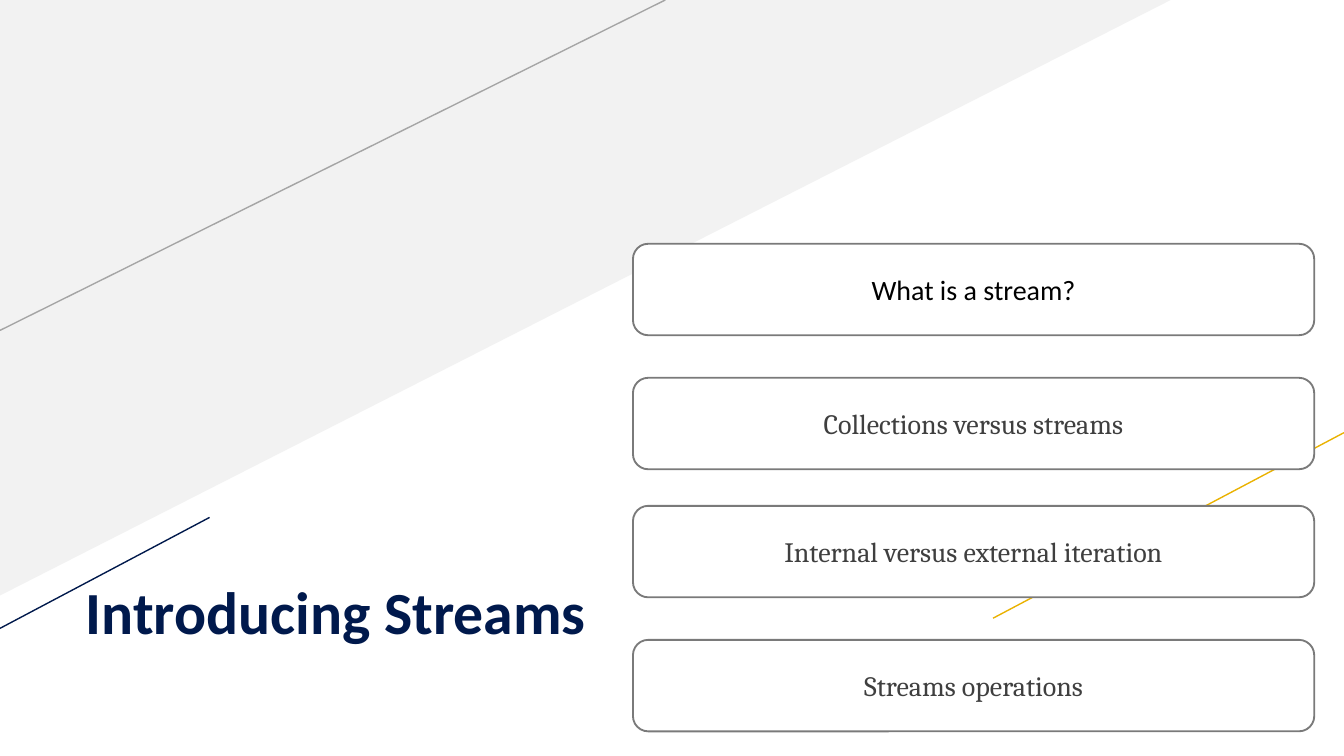
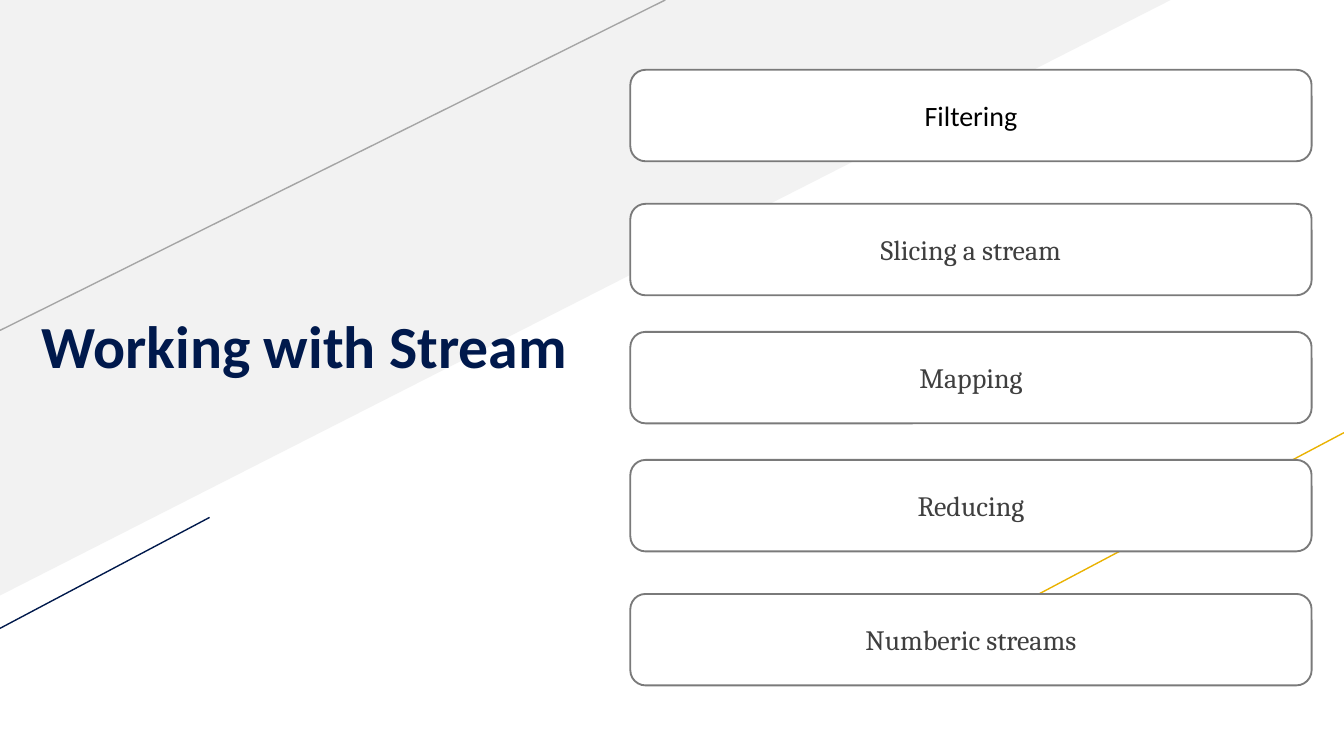
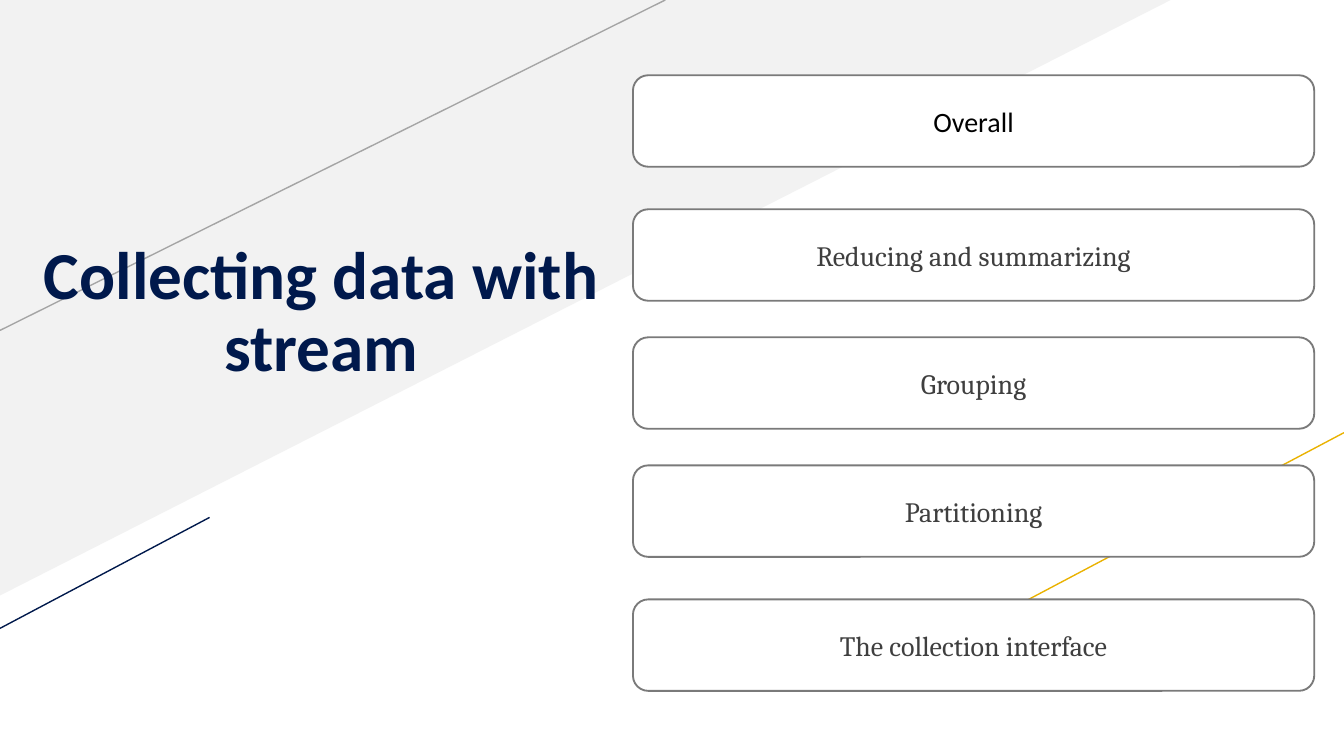
from lxml.etree import SubElement
from pptx import Presentation
from pptx.dml.color import RGBColor
from pptx.enum.shapes import MSO_CONNECTOR, MSO_SHAPE
from pptx.enum.text import MSO_ANCHOR, PP_ALIGN
from pptx.oxml.ns import qn
from pptx.util import Pt

HUES = {
    "white": "FFFFFF", "band": "F2F2F2", "rule": "A5A5A5", "gold": "EAB200",
    "navy": "00194C", "edge": "7A7A7A", "text": "3F3F3F", "black": "000000",
}

# Shared formats
FRAME = {"word_wrap": True, "margin_left": Pt(5), "margin_right": Pt(5),
         "margin_top": Pt(3), "margin_bottom": Pt(3)}
HEAD = {"name": "Calibri", "size": Pt(32), "bold": True}
ITEM = {"name": "Cambria", "size": Pt(15), "bold": False}
FIRST = {**ITEM, "name": "Calibri"}

# Slanted lines: colour, start and end
LINES = [
    ("rule", (0, 177), (356.4, 0)),
    ("gold", (532, 331.2), (720, 231.8)),
    ("navy", (-0.7, 337), (112.3, 277.2)),
]

# Card sizes: the first and last gaps are wider than those between
CARD_W, CARD_H = 365, 49
WIDE, SLIM = 22.8, 19.6

# Heading text, heading place, extra heading format, cards place, card labels
PAGES = [
    {"head": "Introducing Streams", "spot": (41, 268.6), "cards": (339.1, 130.6),
     "items": ["What is a stream?", "Collections versus streams",
               "Internal versus external iteration", "Streams operations"]},
    {"head": "Working with Stream", "spot": (17.3, 126), "cards": (337.7, 37.4),
     "items": ["Filtering", "Slicing a stream", "Mapping", "Reducing",
               "Numberic streams"]},
    {"head": "Collecting data with stream", "spot": (15.1, 163.4),
     "cards": (339.1, 40.3), "font": {"size": Pt(36)},
     "frame": {"margin_bottom": Pt(35)}, "align": PP_ALIGN.CENTER,
     "items": ["Overall", "Reducing and summarizing", "Grouping",
               "Partitioning", "The collection interface"]},
]


def hue(key):
    return RGBColor.from_string(HUES[key])


def apply(part, form):
    for key, value in form.items():
        setattr(part, key, value)


def write(shape, text, font, tint, frame, para):
    box = shape.text_frame
    apply(box, {**FRAME, **frame})
    line = box.paragraphs[0]
    apply(line, para)
    run = line.add_run()
    run.text = text
    apply(run.font, font)
    run.font.color.rgb = hue(tint)


def draw_back(slide, left, top):
    # Pale corner
    wedge = slide.shapes.add_shape(
        MSO_SHAPE.RIGHT_TRIANGLE, Pt(left), Pt(top), Pt(627.1), Pt(319))
    wedge.shadow.inherit = False
    wedge.fill.solid()
    wedge.fill.fore_color.rgb = hue("band")
    wedge.line.fill.background()
    wedge.rotation = 180
    wedge._element.spPr.xfrm.set("flipH", "1")
    # Slanted lines
    for tint, (x1, y1), (x2, y2) in LINES:
        rule = slide.shapes.add_connector(
            MSO_CONNECTOR.STRAIGHT, Pt(left + x1), Pt(top + y1),
            Pt(left + x2), Pt(top + y2))
        rule.line.color.rgb = hue(tint)
        rule.line.width = Pt(0.75)
        SubElement(rule._element.spPr, qn("a:effectLst"))


def draw_head(slide, left, top, page):
    box = slide.shapes.add_textbox(Pt(left), Pt(top), Pt(314), Pt(78.5))
    write(box, page["head"], {**HEAD, **page.get("font", {})}, "navy",
          {"vertical_anchor": MSO_ANCHOR.BOTTOM, "margin_bottom": Pt(0),
           **page.get("frame", {})},
          {"line_spacing": 0.9, "alignment": page.get("align", PP_ALIGN.LEFT)})


def draw_cards(slide, left, top, items):
    last = len(items) - 1
    for spot, text in enumerate(items):
        card = slide.shapes.add_shape(
            MSO_SHAPE.ROUNDED_RECTANGLE, Pt(left), Pt(top),
            Pt(CARD_W), Pt(CARD_H))
        card.shadow.inherit = False
        card.fill.solid()
        card.fill.fore_color.rgb = hue("white")
        card.line.color.rgb = hue("edge")
        card.line.width = Pt(1)
        font, tint = (ITEM, "text") if spot else (FIRST, "black")
        write(card, text, font, tint, {"vertical_anchor": MSO_ANCHOR.MIDDLE},
              {"alignment": PP_ALIGN.CENTER})
        top += CARD_H + (WIDE if spot in (0, last - 1) else SLIM)


def main():
    deck = Presentation()
    apply(deck, {"slide_width": Pt(720), "slide_height": Pt(405)})
    for page in PAGES:
        slide = deck.slides.add_slide(deck.slide_layouts[6])
        draw_back(slide, 0, 0)
        draw_head(slide, *page["spot"], page)
        draw_cards(slide, *page["cards"], page["items"])
    deck.save("out.pptx")


if __name__ == "__main__":
    main()
